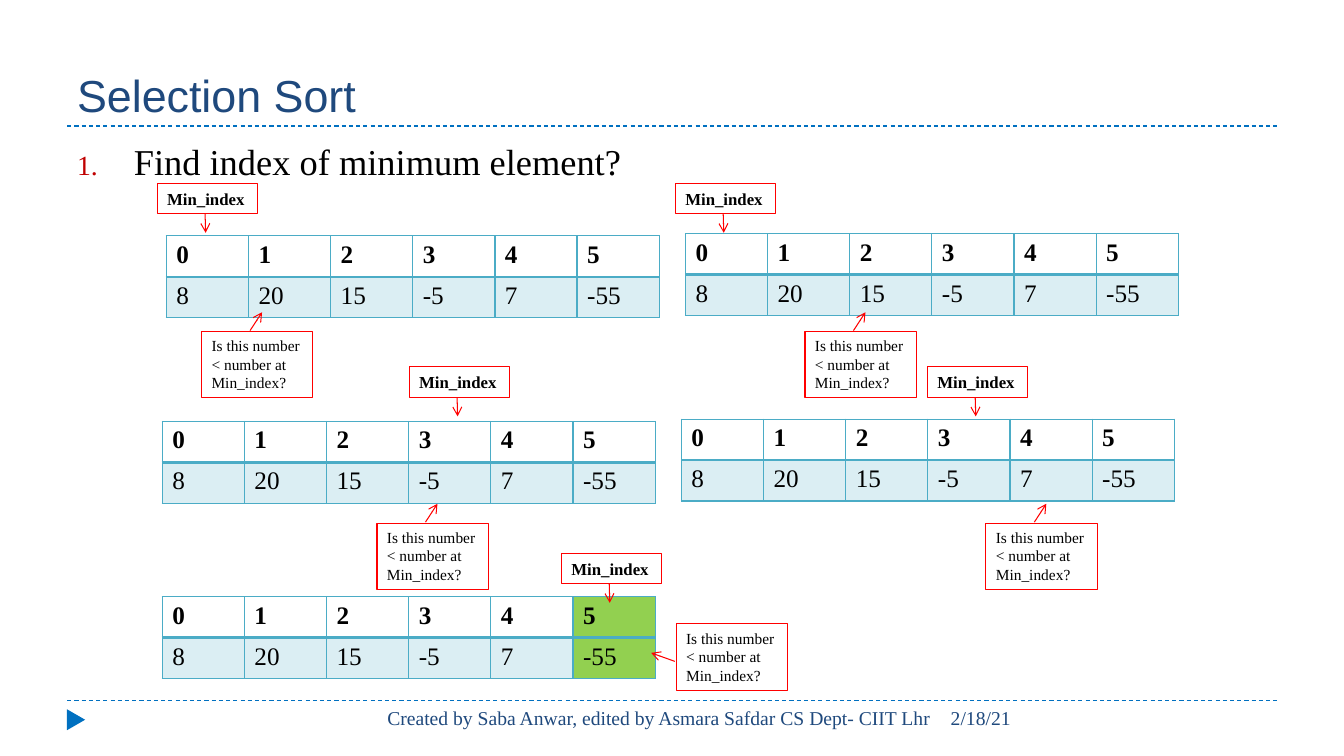
from pptx import Presentation
from pptx.dml.color import RGBColor
from pptx.enum.dml import MSO_LINE
from pptx.enum.shapes import MSO_CONNECTOR, MSO_SHAPE
from pptx.enum.text import MSO_ANCHOR, MSO_AUTO_SIZE, PP_ALIGN
from pptx.oxml.ns import qn
from pptx.util import Pt
from lxml.etree import SubElement

COLORS = {
    "navy": "1F497D", "blue": "0070C0", "teal": "4BACC6", "green": "92D050",
    "red": "FF0000", "dark_red": "C00000", "black": "000000",
}
SERIF = "Times New Roman"
COLUMN_WIDTH, ROW_HEIGHT = 58.7, 29.2
VALUES = [["0", "1", "2", "3", "4", "5"], ["8", "20", "15", "-5", "7", "-55"]]

BELOW = (1.008, 0.479, 1.619, 0.484)
ABOVE = (-0.015, 0.436, -0.292, 0.544)
BESIDE = (0.565, -0.012, 0.437, -0.225)
STEPS = [
    ((118.8, 168.5), (112.3, 131), (144, 236.9), ABOVE),
    ((489.6, 167), (482.4, 131), (575, 236.9), ABOVE),
    ((115.9, 301), (292.3, 262.1), (269.3, 373.7), ABOVE),
    ((486.7, 299.5), (662.4, 262.1), (704.2, 373.7), ABOVE),
    ((115.9, 426.2), (401, 395.3), (483, 445.7), BESIDE),
]


def write(frame, text, size, color="black", font=SERIF, bold=False):
    frame.word_wrap = True
    frame.text = text
    para = frame.paragraphs[0]
    para.alignment = PP_ALIGN.LEFT
    for span in para.runs:
        span.font.size = Pt(size)
        span.font.name = font
        span.font.bold = bold
        span.font.color.rgb = RGBColor.from_string(COLORS[color])
    return para


def add_callout(page, place, size, text, text_size, bold, pointer):
    box = page.shapes.add_shape(
        MSO_SHAPE.LINE_CALLOUT_1, Pt(place[0]), Pt(place[1]), Pt(size[0]), Pt(size[1]))
    box.shadow.inherit = False
    box.fill.background()
    box.line.color.rgb = RGBColor.from_string(COLORS["red"])
    box.line.width = Pt(0.75)
    SubElement(box.line._get_or_add_ln(), qn("a:tailEnd"), type="arrow")
    for index, value in enumerate(pointer):
        box.adjustments[index] = value
    write(box.text_frame, text, text_size, bold=bold)
    box.text_frame.vertical_anchor = MSO_ANCHOR.TOP
    box.text_frame.auto_size = MSO_AUTO_SIZE.SHAPE_TO_FIT_TEXT


deck = Presentation()
deck.slide_width, deck.slide_height = Pt(960), Pt(540)
page = deck.slides.add_slide(deck.slide_layouts[6])

for rule_top in (500.4, 90):
    rule = page.shapes.add_connector(
        MSO_CONNECTOR.STRAIGHT, Pt(48), Pt(rule_top), Pt(912), Pt(rule_top))
    rule.line.color.rgb = RGBColor.from_string(COLORS["blue"])
    rule.line.width = Pt(0.75)
    rule.line.dash_style = MSO_LINE.DASH
    SubElement(rule._element.spPr, qn("a:effectLst"))

marker = page.shapes.add_shape(
    MSO_SHAPE.ISOSCELES_TRIANGLE, Pt(46.8), Pt(507.6), Pt(15), Pt(13))
marker.rotation = 90
marker.shadow.inherit = False
marker.fill.solid()
marker.fill.fore_color.rgb = RGBColor.from_string(COLORS["blue"])
marker.line.fill.background()

title = page.shapes.add_textbox(Pt(48), Pt(12), Pt(864), Pt(78))
write(title.text_frame, "Selection Sort", 32, "navy", "Arial")
title.text_frame.vertical_anchor = MSO_ANCHOR.BOTTOM

date = page.shapes.add_textbox(Pt(672), Pt(500.4), Pt(240), Pt(28.8))
write(date.text_frame, "2/18/21", 14, "navy")

body = page.shapes.add_textbox(Pt(48), Pt(96), Pt(864), Pt(388.8))
para = write(body.text_frame, "Find index of minimum element?", 26)
properties = para._p.get_or_add_pPr()
properties.set("marL", str(Pt(40.5)))
properties.set("indent", str(Pt(-40.5)))
bullet_color = SubElement(properties, qn("a:buClr"))
SubElement(bullet_color, qn("a:srgbClr"), val=COLORS["dark_red"])
SubElement(properties, qn("a:buSzPct"), val="76000")
SubElement(properties, qn("a:buFont"), typeface=SERIF)
SubElement(properties, qn("a:buAutoNum"), type="arabicPeriod")

for table_place, index_place, question_place, pointer in STEPS:
    table = page.shapes.add_table(
        2, 6, Pt(table_place[0]), Pt(table_place[1]),
        Pt(6 * COLUMN_WIDTH), Pt(2 * ROW_HEIGHT)).table
    table.first_row = False
    table.horz_banding = False
    for column in table.columns:
        column.width = Pt(COLUMN_WIDTH)
    for row_index, row in enumerate(table.rows):
        row.height = Pt(ROW_HEIGHT)
        for column_index, cell in enumerate(row.cells):
            write(cell.text_frame, VALUES[row_index][column_index], 18, bold=row_index == 0)
            cell_properties = cell._tc.get_or_add_tcPr()
            middle_edge = "lnT" if row_index else "lnB"
            for edge in ("lnL", "lnR", "lnT", "lnB"):
                width = Pt(2 if edge == middle_edge else 1)
                border = SubElement(cell_properties, qn("a:" + edge), w=str(width))
                border_fill = SubElement(border, qn("a:solidFill"))
                SubElement(border_fill, qn("a:srgbClr"), val=COLORS["teal"])
            found = pointer == BESIDE and column_index == 5
            if found or row_index:
                cell.fill.solid()
                cell.fill.fore_color.rgb = RGBColor.from_string(
                    COLORS["green" if found else "teal"])
                if not found:
                    tint = cell_properties.find(".//" + qn("a:srgbClr") + "/..")
                    tint = cell_properties.find(qn("a:solidFill")).find(qn("a:srgbClr"))
                    SubElement(tint, qn("a:alpha"), val="20000")
            else:
                cell.fill.background()
    add_callout(page, index_place, (71.4, 21.8), "Min_index", 12, True, BELOW)
    add_callout(page, question_place, (79.4, 47.4),
                "Is this number < number at Min_index?", 11, False, pointer)

credit = page.shapes.add_textbox(Pt(211.2), Pt(500.4), Pt(460.8), Pt(28.8))
para = write(credit.text_frame,
             "Created by Saba Anwar, edited by Asmara Safdar CS Dept- CIIT Lhr", 14, "navy")
para.alignment = PP_ALIGN.RIGHT

deck.save("out.pptx")
